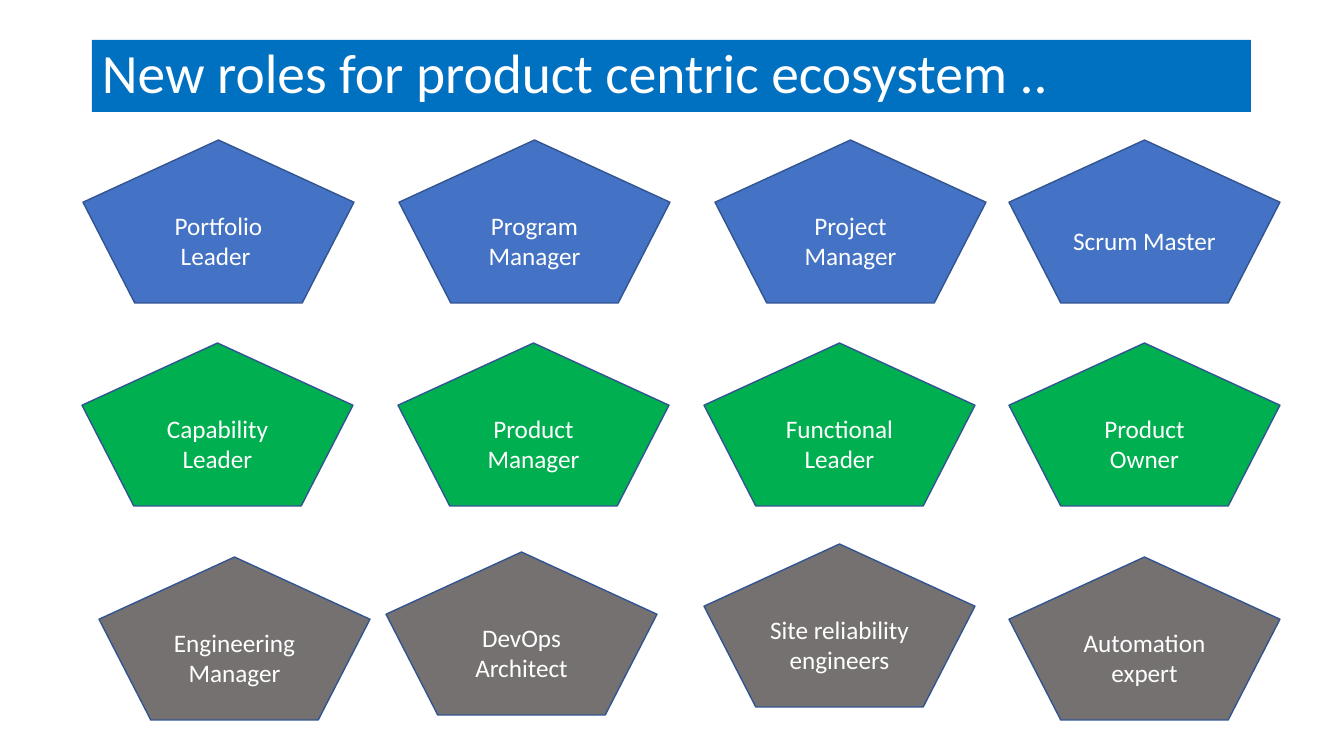
from dataclasses import dataclass

from pptx import Presentation
from pptx.dml.color import RGBColor
from pptx.enum import shapes, text
from pptx.util import Emu, Pt

EMU_PER_PX = 914400 / 100.8
PENTAGON_W, PENTAGON_H = 271, 163


@dataclass(frozen=True)
class Theme:
    font: str = "Calibri"
    white: str = "FFFFFF"
    banner: str = "0070C0"
    outline: str = "325491"
    delivery: str = "4472C4"
    product: str = "00B050"
    engineering: str = "767171"
    title_size: float = 39.6
    role_size: float = 18


THEME = Theme()

# Each row: fill, then (left, top, role) for every pentagon
ROLE_ROWS = [
    (THEME.delivery, [
        (83, 140, "Portfolio Leader "),
        (399, 140, "Program Manager"),
        (715, 140, "Project Manager"),
        (1009, 140, "Scrum Master"),
    ]),
    (THEME.product, [
        (82, 343, "Capability Leader"),
        (398, 343, "Product Manager"),
        (704, 343, "Functional Leader"),
        (1009, 343, "Product Owner"),
    ]),
    (THEME.engineering, [
        (99, 557, "Engineering Manager"),
        (386, 552, "DevOps Architect"),
        (704, 544, "Site reliability engineers"),
        (1009, 557, "Automation expert"),
    ]),
]


def px(n):
    return Emu(round(n * EMU_PER_PX))


def set_attrs(obj, values):
    for name, value in values.items():
        setattr(obj, name, value)


def add_filled_shape(slide, kind, box, fill):
    sp = slide.shapes.add_shape(kind, *map(px, box))
    sp.shadow.inherit = False
    sp.fill.solid()
    sp.fill.fore_color.rgb = RGBColor.from_string(fill)
    return sp


def write_text(sp, words, size, paragraph_format):
    tf = sp.text_frame
    set_attrs(tf, {"word_wrap": True, "vertical_anchor": text.MSO_ANCHOR.MIDDLE})
    p = tf.paragraphs[0]
    set_attrs(p, paragraph_format)
    r = p.add_run()
    r.text = words
    set_attrs(r.font, {"name": THEME.font, "size": Pt(size)})
    r.font.color.rgb = RGBColor.from_string(THEME.white)


def add_title_banner(slide, words):
    sp = add_filled_shape(slide, shapes.MSO_SHAPE.RECTANGLE,
                          (92, 40, 1159, 72), THEME.banner)
    sp.line.fill.background()
    write_text(sp, words, THEME.title_size,
               {"alignment": text.PP_ALIGN.LEFT, "line_spacing": 0.9})


def add_role(slide, left, top, role, fill):
    sp = add_filled_shape(slide, shapes.MSO_SHAPE.REGULAR_PENTAGON,
                          (left, top, PENTAGON_W, PENTAGON_H), fill)
    sp.line.color.rgb = RGBColor.from_string(THEME.outline)
    sp.line.width = Pt(1)
    write_text(sp, role, THEME.role_size, {"alignment": text.PP_ALIGN.CENTER})


def main():
    prs = Presentation()
    set_attrs(prs, {"slide_width": px(1344), "slide_height": px(756)})
    slide = prs.slides.add_slide(prs.slide_layouts[6])
    add_title_banner(slide, "New roles for product centric ecosystem ..")
    for fill, roles in ROLE_ROWS:
        for left, top, role in roles:
            add_role(slide, left, top, role, fill)
    prs.save("out.pptx")


if __name__ == "__main__":
    main()
